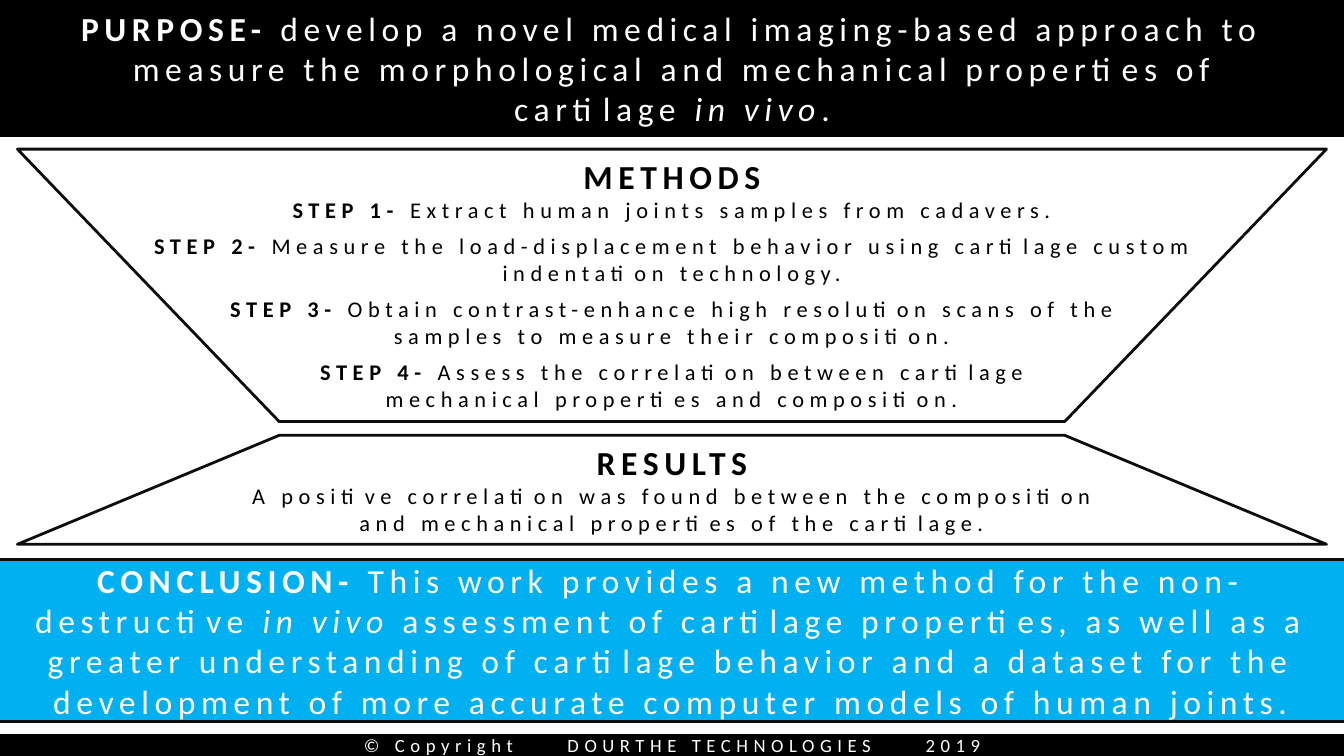
from pptx import Presentation
from pptx.dml.color import RGBColor
from pptx.enum.shapes import MSO_SHAPE
from pptx.enum.text import MSO_ANCHOR, PP_ALIGN
from pptx.util import Cm, Pt

BLACK, WHITE, INK, BLUE = "000000", "FFFFFF", "0D0D0D", "00B0F0"
BASE = {"name": "Calibri", "size": Pt(18), "bold": False, "italic": False}
BOLD = {"bold": True}
SLANT = {"italic": True}
SMALL = {"size": Pt(12)}
TINY = {"size": Pt(10)}
TRACK = 3  # letter spacing in points
GAP = Pt(4.9)  # space above a step
WIDE, HIGH = 25.4, 14.29
LEFT, SPAN = 0.33, 24.74  # the two trapezoids

STEPS = [
    ["Extract human joints samples from cadavers."],
    ["Measure the load-displacement behavior using cartilage custom",
     "indentation technology."],
    ["Obtain contrast-enhance high resolution scans of the",
     "samples to measure their composition."],
    ["Assess the correlation between cartilage",
     "mechanical properties and composition."],
]
RESULTS = ["A positive correlation was found between the composition",
           "and mechanical properties of the cartilage."]


def paint(color, code):
    color.rgb = RGBColor.from_string(code)


def add_run(para, code, text, form, track=TRACK):
    run = para.add_run()
    run.text = text
    for key, value in {**BASE, **form}.items():
        setattr(run.font, key, value)
    paint(run.font.color, code)
    run._r.get_or_add_rPr().set("spc", str(track * 100))


def write(frame, code, paras):
    """Each paragraph is (space before, runs)."""
    frame.word_wrap = True
    for i, (before, runs) in enumerate(paras):
        para = frame.paragraphs[0] if i == 0 else frame.add_paragraph()
        para.alignment = PP_ALIGN.CENTER
        if before:
            para.space_before = before
        for run in runs:
            add_run(para, code, *run)


def add_form(slide, kind, box, line, width, fill=None):
    shape = slide.shapes.add_shape(kind, *map(Cm, box))
    shape.shadow.inherit = False
    if fill:
        shape.fill.solid()
        paint(shape.fill.fore_color, fill)
    else:
        shape.fill.background()
    paint(shape.line.color, line)
    shape.line.width = Pt(width)
    return shape


def add_band(slide, box, fill, line, width, paras):
    band = add_form(slide, MSO_SHAPE.RECTANGLE, box, line, width, fill)
    band.text_frame.vertical_anchor = MSO_ANCHOR.MIDDLE
    write(band.text_frame, WHITE, paras)


def add_funnel(slide, top, high, paras, flip=False):
    box = (LEFT, top, SPAN, high)
    form = add_form(slide, MSO_SHAPE.FLOWCHART_MANUAL_OPERATION, box, INK, 1.5)
    if flip:
        form._element.spPr.xfrm.set("flipV", "1")
    label = slide.shapes.add_textbox(*map(Cm, box))
    write(label.text_frame, BLACK, paras)


def list_steps():
    paras = [(None, [("METHODS", BOLD)])]
    for num, (first, *rest) in enumerate(STEPS, 1):
        head = (f"STEP {num}- ", {**SMALL, **BOLD})
        paras.append((GAP if num > 1 else None, [head, (first, SMALL)]))
        paras += [(None, [(text, SMALL)]) for text in rest]
    return paras


def main():
    deck = Presentation()
    deck.slide_width, deck.slide_height = Cm(WIDE), Cm(HIGH)
    slide = deck.slides.add_slide(deck.slide_layouts[6])

    # Purpose
    add_band(slide, (0, 0, WIDE, 2.57), BLACK, BLACK, 1, [
        (None, [("PURPOSE- ", BOLD),
                ("develop a novel medical imaging-based approach to measure "
                 "the morphological and mechanical properties of", {})]),
        (None, [("cartilage ", {}), ("in vivo", SLANT), (".", {})]),
    ])

    # Methods and results
    add_funnel(slide, 2.82, 5.15, list_steps())
    found = [(None, [(text, SMALL)]) for text in RESULTS]
    add_funnel(slide, 8.23, 2.06,
               [(None, [("RESULTS", BOLD)])] + found, flip=True)

    # Conclusion
    add_band(slide, (-0.08, 10.57, 25.53, 3.07), BLUE, INK, 1.5, [
        (None, [("CONCLUSION- ", BOLD),
                ("This work provides a new method for the non-destructive ",
                 {}),
                ("in vivo ", SLANT),
                ("assessment of cartilage properties, as well as a greater "
                 "understanding of cartilage behavior and a dataset for the "
                 "development of more accurate computer models of human "
                 "joints.", {})]),
    ])

    # Copyright line, its parts set apart by widely tracked spaces
    space = (" ", TINY, 24)
    add_band(slide, (0, 13.89, WIDE, 0.4), BLACK, BLACK, 1, [
        (None, [("© Copyright", TINY), space,
                ("DOURTHE TECHNOLOGIES", TINY), space, ("2019", TINY)]),
    ])

    deck.save("out.pptx")


if __name__ == "__main__":
    main()
